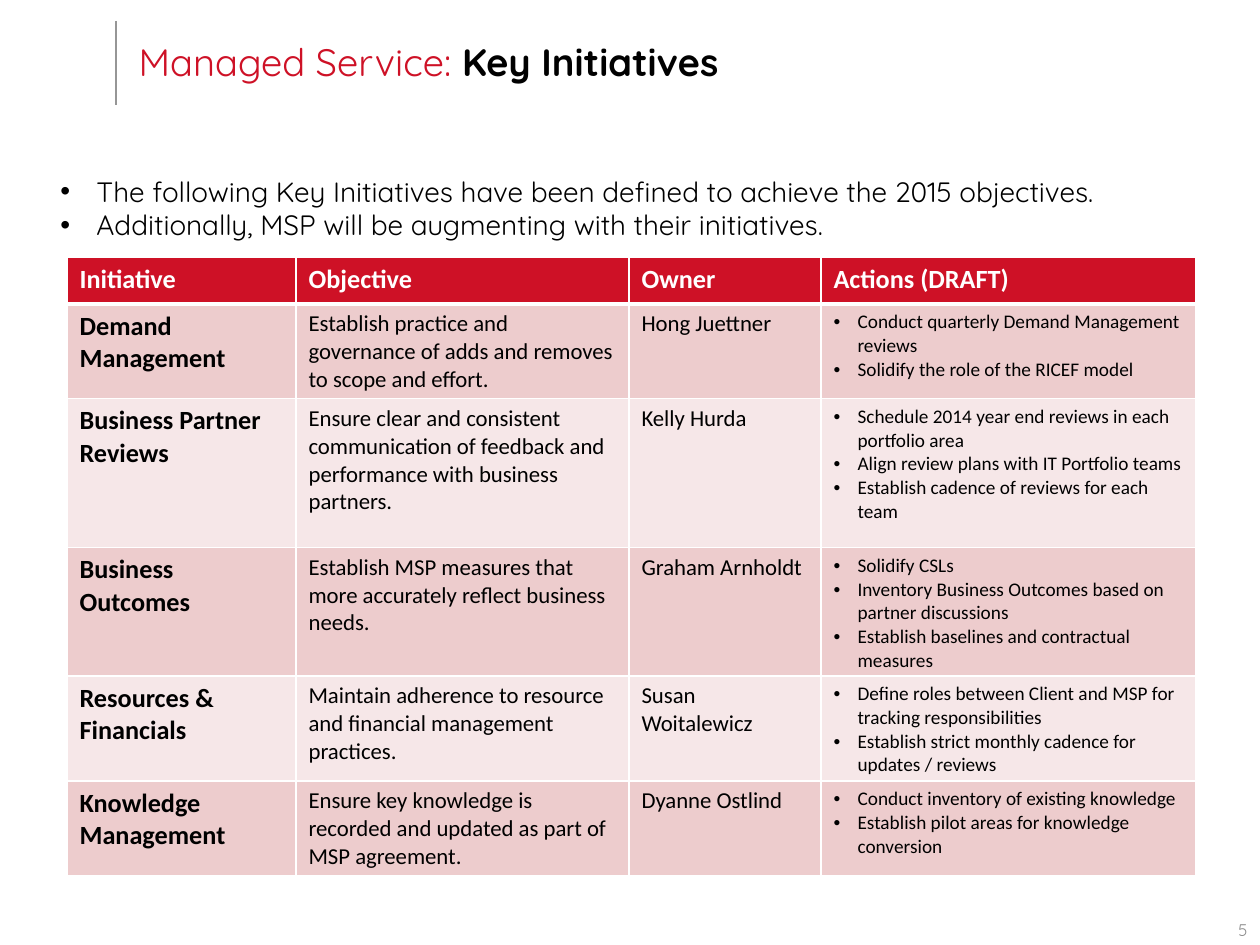
"""Build the Key Initiatives slide."""
from dataclasses import dataclass

from lxml.etree import SubElement
from pptx import Presentation
from pptx.dml.color import RGBColor
from pptx.enum.shapes import MSO_CONNECTOR
from pptx.enum.text import MSO_ANCHOR, PP_ALIGN
from pptx.oxml.ns import qn
from pptx.util import Pt


@dataclass(frozen=True)
class Theme:
    """Colours, fonts and type sizes."""
    red: str = "CE1126"
    black: str = "000000"
    white: str = "FFFFFF"
    rule: str = "969696"
    grey: str = "8C8C8C"
    bands: tuple = ("EDCCCD", "F6E7E8")
    head: str = "Quicksand"
    body: str = "Calibri"
    title: float = 21.8
    lead: int = 16
    label: int = 15
    cell: int = 13
    small: int = 11
    page: float = 9.6


HEADS = ["Initiative", "Objective", "Owner", "Actions (DRAFT)"]
ROWS = [
    ("Demand Management",
     "Establish practice and governance of adds and removes to scope and effort.",
     "Hong Juettner",
     ["Conduct quarterly Demand Management reviews",
      "Solidify the role of the RICEF model"]),
    ("Business Partner Reviews",
     "Ensure clear and consistent communication of feedback and performance "
     "with business partners.",
     "Kelly Hurda",
     ["Schedule 2014 year end reviews in each portfolio area",
      "Align review plans with IT Portfolio teams",
      "Establish cadence of reviews for each team"]),
    ("Business Outcomes",
     "Establish MSP measures that more accurately reflect business needs.",
     "Graham Arnholdt",
     ["Solidify CSLs",
      "Inventory Business Outcomes based on partner discussions",
      "Establish baselines and contractual measures"]),
    ("Resources & Financials",
     "Maintain adherence to resource and financial management practices.",
     "Susan Woitalewicz",
     ["Define roles between Client and MSP for tracking responsibilities",
      "Establish strict monthly cadence for updates / reviews"]),
    ("Knowledge Management",
     "Ensure key knowledge is recorded and updated as part of MSP agreement.",
     "Dyanne Ostlind",
     ["Conduct inventory of existing knowledge",
      "Establish pilot areas for knowledge conversion"]),
]
LEADS = [
    "The following Key Initiatives have been defined to achieve the 2015 objectives.",
    "Additionally, MSP will be augmenting with their initiatives.",
]
WIDTHS = [229, 333, 192, 375]
HEIGHTS = [47, 92, 149, 126, 103, 92]


def px(count):
    """Turn px into EMU."""
    return round(count * 914400 / 126)


def write(para, text, *, size, font, color, bold=False, dent=0, align=None):
    """Add a formatted run to a paragraph."""
    run = para.add_run()
    run.text = text
    run.font.size = Pt(size)
    run.font.name = font
    run.font.bold = bold
    run.font.color.rgb = RGBColor.from_string(color)
    if align is not None:
        para.alignment = align
    if dent:
        props = para._p.get_or_add_pPr()
        props.set("marL", str(px(dent)))
        props.set("indent", str(-px(dent)))
        SubElement(props, qn("a:buFont"), typeface="Arial")
        SubElement(props, qn("a:buChar"), char="•")


def fill_list(frame, items, **style):
    """Write each item as its own paragraph."""
    for i, item in enumerate(items):
        para = frame.add_paragraph() if i else frame.paragraphs[0]
        write(para, item, **style)


class Deck:
    """Hold the theme and the current slide."""

    def __init__(self, theme):
        self.theme = theme
        self.show = Presentation()
        self.show.slide_width, self.show.slide_height = px(1260), px(945)
        self.slide = self.show.slides.add_slide(self.show.slide_layouts[5])

    def title(self, box, parts):
        """Place the title with coloured parts."""
        shape = self.slide.shapes.title
        shape.left, shape.top, shape.width, shape.height = map(px, box)
        frame = shape.text_frame
        frame.vertical_anchor = MSO_ANCHOR.MIDDLE
        for text, color, bold in parts:
            write(frame.paragraphs[0], text, size=self.theme.title,
                  font=self.theme.head, color=color, bold=bold,
                  align=PP_ALIGN.LEFT)

    def text(self, box, items, anchor=MSO_ANCHOR.TOP, **style):
        """Add a text box."""
        frame = self.slide.shapes.add_textbox(*map(px, box)).text_frame
        frame.word_wrap = True
        frame.vertical_anchor = anchor
        fill_list(frame, items, font=self.theme.head, **style)

    def line(self, ends):
        """Add a thin rule."""
        rule = self.slide.shapes.add_connector(
            MSO_CONNECTOR.STRAIGHT, *map(px, ends))
        rule.line.color.rgb = RGBColor.from_string(self.theme.rule)
        rule.line.width = Pt(1)
        SubElement(rule._element.spPr, qn("a:effectLst"))

    def cell(self, cell, items, fill, base=1, **style):
        """Fill one cell and draw its borders."""
        props = cell._tc.get_or_add_tcPr()
        for side, width in (("L", 1), ("R", 1), ("T", 1), ("B", base)):
            edge = SubElement(props, qn(f"a:ln{side}"), w=str(Pt(width)))
            solid = SubElement(edge, qn("a:solidFill"))
            SubElement(solid, qn("a:srgbClr"), val=self.theme.white)
        cell.fill.solid()
        cell.fill.fore_color.rgb = RGBColor.from_string(fill)
        fill_list(cell.text_frame, items, font=self.theme.body, **style)

    def table(self, spot, heads, rows, widths, heights):
        """Add the table of initiatives."""
        look = self.theme
        size = (sum(widths), sum(heights))
        grid = self.slide.shapes.add_table(
            len(heights), len(widths), *map(px, spot + size)).table
        grid.first_row = grid.horz_banding = False
        for col, width in zip(grid.columns, widths):
            col.width = px(width)
        for row, height in zip(grid.rows, heights):
            row.height = px(height)
        for c, head in enumerate(heads):
            self.cell(grid.cell(0, c), [head], look.red, base=3,
                      size=look.label, color=look.white, bold=True)
        styles = [dict(size=look.label, bold=True), dict(size=look.cell),
                  dict(size=look.cell), dict(size=look.small, dent=24)]
        for r, row in enumerate(rows):
            for c, (item, style) in enumerate(zip(row, styles)):
                items = item if isinstance(item, list) else [item]
                self.cell(grid.cell(r + 1, c), items, look.bands[r % 2],
                          color=look.black, **style)


def main():
    """Draw and save the slide."""
    look = Theme()
    deck = Deck(look)
    deck.text((1207, 914, 53, 31), ["5"], MSO_ANCHOR.MIDDLE, size=look.page,
              color=look.grey, align=PP_ALIGN.RIGHT)
    deck.line((116, 21, 116, 105))
    deck.table((67, 257), HEADS, ROWS, WIDTHS, HEIGHTS)
    deck.title((126, 32, 1040, 59), [("Managed Service: ", look.red, False),
                                     ("Key Initiatives", look.black, True)])
    deck.text((48, 168, 1193, 81), LEADS, size=look.lead, color=look.black,
              dent=36)
    deck.show.save("out.pptx")


if __name__ == "__main__":
    main()
